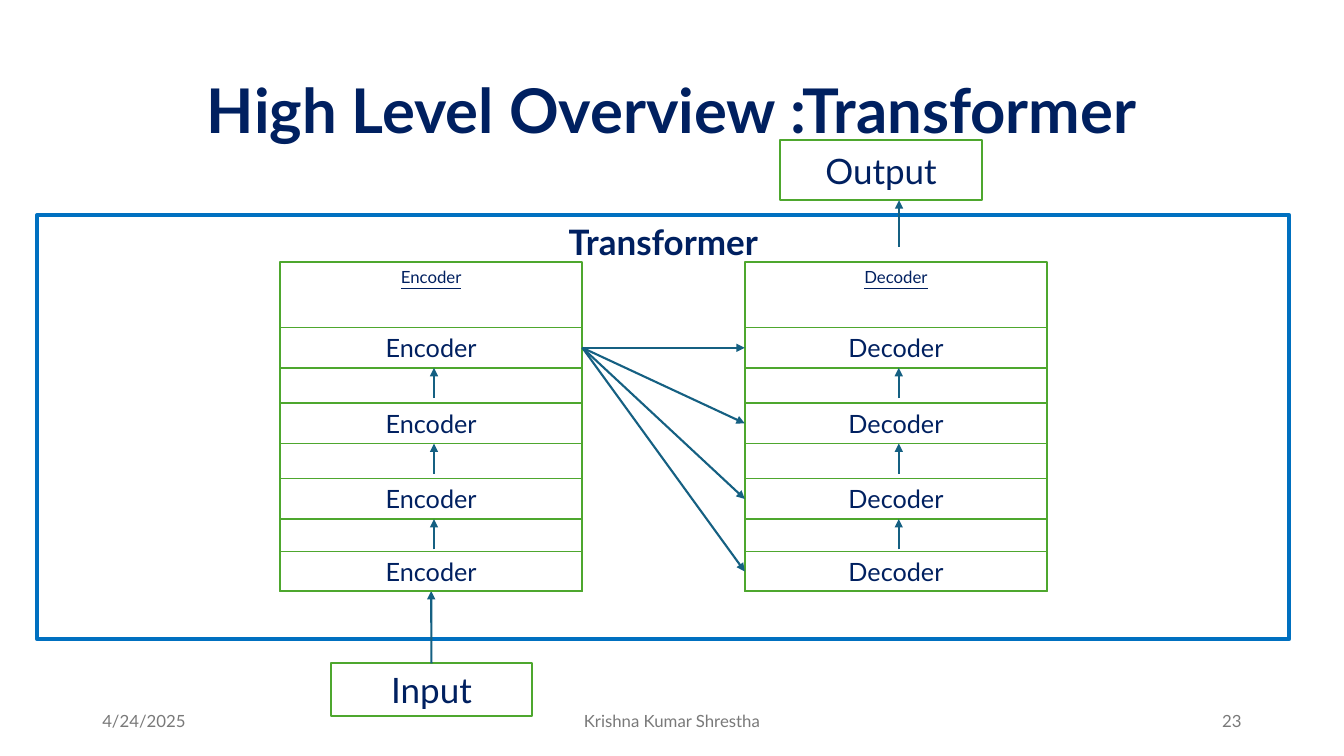
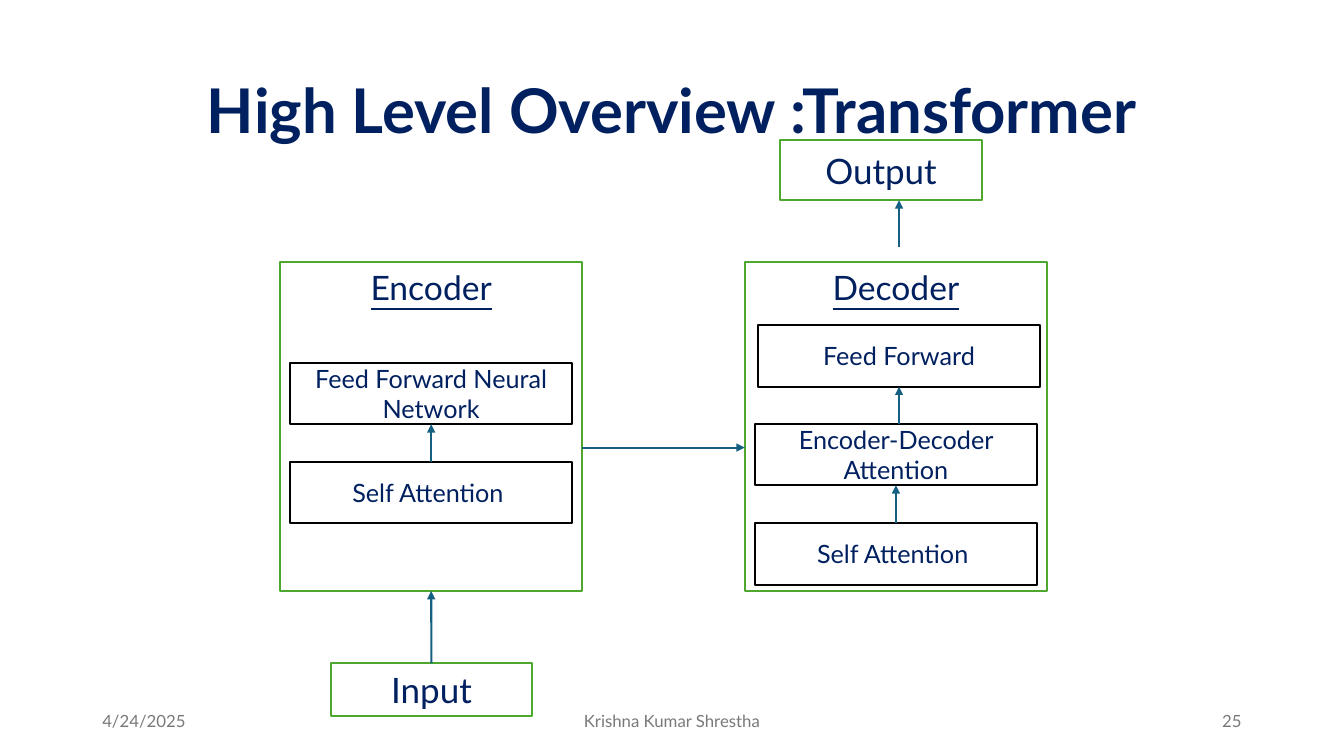
from dataclasses import dataclass
from typing import NamedTuple

from lxml.etree import SubElement
from pptx import Presentation
from pptx.dml.color import RGBColor
from pptx.enum.shapes import MSO_CONNECTOR as Connector, MSO_SHAPE as Preset
from pptx.enum.text import MSO_ANCHOR as Anchor, PP_ALIGN as Align
from pptx.oxml.ns import qn
from pptx.util import Pt

TOP, LEFT, BOTTOM, RIGHT = range(4)
TITLE = "High Level Overview :Transformer"
DATE = "4/24/2025"
AUTHOR = "Krishna Kumar Shrestha"

STACK_TOP, STACK_WIDTH, STACK_HEIGHT = 187.2, 216, 235
STACK_LEFTS = {"Encoder": 200, "Decoder": 532}
LAYER_TOPS = (234, 288, 342, 393.8)
LAYER_HEIGHT = 28.8
LAYER_ARROW_LENGTH = 21.6
ARROW_OFFSET = 2
BLOCK_WIDTH, BLOCK_HEIGHT = 201.6, 44
OUTPUT_ARROW_X = 642.2


@dataclass(frozen=True)
class Theme:
    font: str = "Lato"
    navy: str = "002060"
    gray: str = "797979"
    green: str = "4EA72E"
    blue: str = "0070C0"
    teal: str = "156082"
    black: str = "000000"
    white: str = "FFFFFF"
    title_size: float = 44
    label_size: float = 25
    heading_size: float = 24
    body_size: float = 18
    small_size: float = 12
    thin: float = 1
    line: float = 1.5
    thick: float = 3


class Joint(NamedTuple):
    shape: object
    side: int


class Deck:
    def __init__(self, theme):
        self.theme = theme
        self.presentation = Presentation()
        self.presentation.slide_width = Pt(960)
        self.presentation.slide_height = Pt(540)
        self.slide = None

    def new_slide(self, number):
        theme = self.theme
        self.slide = self.presentation.slides.add_slide(self.presentation.slide_layouts[6])
        title = self.text_box((66, 29, 828, 104), TITLE, theme.title_size, theme.navy, bold=True)
        title.text_frame.paragraphs[0].line_spacing = 0.9
        footers = (
            (66, 216, DATE, Align.LEFT),
            (318, 324, AUTHOR, Align.CENTER),
            (678, 216, str(number), Align.RIGHT),
        )
        for left, width, text, align in footers:
            self.text_box((left, 500.4, width, 28.8), text, theme.small_size, theme.gray, align)

    def add_text(self, shape, text, size, color, align=Align.CENTER, anchor=Anchor.MIDDLE,
                 bold=False, underline=False):
        frame = shape.text_frame
        frame.word_wrap = True
        frame.vertical_anchor = anchor
        paragraph = frame.paragraphs[0]
        paragraph.alignment = align
        run = paragraph.add_run()
        run.text = text
        run.font.name = self.theme.font
        run.font.size = Pt(size)
        run.font.bold = bold
        run.font.underline = underline
        run.font.color.rgb = RGBColor.from_string(color)

    def text_box(self, box, text, size, color, align=Align.CENTER, bold=False):
        shape = self.slide.shapes.add_textbox(*map(Pt, box))
        self.add_text(shape, text, size, color, align, bold=bold)
        return shape

    def rectangle(self, box, text, size, color, weight=None, filled=True, **text_style):
        shape = self.slide.shapes.add_shape(Preset.RECTANGLE, *map(Pt, box))
        shape.shadow.inherit = False
        if filled:
            shape.fill.solid()
            shape.fill.fore_color.rgb = RGBColor.from_string(self.theme.white)
        else:
            shape.fill.background()
        shape.line.color.rgb = RGBColor.from_string(color)
        shape.line.width = Pt(weight or self.theme.line)
        self.add_text(shape, text, size, self.theme.navy, **text_style)
        return shape

    def arrow(self, start, end):
        connector = self.slide.shapes.add_connector(Connector.STRAIGHT, 0, 0, 0, 0)
        if isinstance(start, Joint):
            connector.begin_connect(*start)
        else:
            connector.begin_x, connector.begin_y = map(Pt, start)
        if isinstance(end, Joint):
            connector.end_connect(*end)
        else:
            connector.end_x, connector.end_y = map(Pt, end)
        connector.line.color.rgb = RGBColor.from_string(self.theme.teal)
        connector.line.width = Pt(self.theme.line)
        properties = connector.element.spPr
        SubElement(properties.find(qn("a:ln")), qn("a:tailEnd"), type="triangle")
        SubElement(properties, qn("a:effectLst"))

    def stacks(self, heading_size):
        theme = self.theme
        source = self.rectangle((236.2, 473.8, 144, 37.4), "Input", theme.label_size, theme.green)
        self.rectangle((557.3, 100.1, 144, 42.8), "Output", theme.label_size, theme.green)
        self.arrow((OUTPUT_ARROW_X, 176.4), (OUTPUT_ARROW_X, 143))
        stacks = {
            name: self.rectangle((left, STACK_TOP, STACK_WIDTH, STACK_HEIGHT), name, heading_size,
                                 theme.green, anchor=Anchor.TOP, underline=True)
            for name, left in STACK_LEFTS.items()
        }
        self.arrow(Joint(source, TOP), Joint(stacks["Encoder"], BOTTOM))

    def layers(self, name):
        left = STACK_LEFTS[name]
        layers = [
            self.rectangle((left, top, STACK_WIDTH, LAYER_HEIGHT), name, self.theme.body_size,
                           self.theme.green, self.theme.thin, filled=False, anchor=Anchor.TOP)
            for top in LAYER_TOPS
        ]
        x = left + STACK_WIDTH / 2 + ARROW_OFFSET
        for top in LAYER_TOPS[:-1]:
            bottom = top + LAYER_HEIGHT
            self.arrow((x, bottom + LAYER_ARROW_LENGTH), (x, bottom))
        return layers

    def block(self, left, top, text):
        return self.rectangle((left, top, BLOCK_WIDTH, BLOCK_HEIGHT), text,
                              self.theme.body_size, self.theme.black)


def layered_slide(deck):
    theme = deck.theme
    deck.new_slide(23)
    deck.rectangle((26.6, 153.6, 894.2, 303), "Transformer", theme.label_size, theme.blue,
                   theme.thick, anchor=Anchor.TOP, bold=True)
    deck.stacks(theme.small_size)
    encoders = deck.layers("Encoder")
    decoders = deck.layers("Decoder")
    for decoder in decoders:
        deck.arrow(Joint(encoders[0], RIGHT), Joint(decoder, LEFT))


def attention_slide(deck):
    deck.new_slide(25)
    deck.stacks(deck.theme.heading_size)

    encoder_attention = deck.block(207.2, 329.8, "Self Attention ")
    encoder_network = deck.block(207.2, 259, "Feed Forward Neural Network")
    deck.arrow(Joint(encoder_attention, TOP), Joint(encoder_network, BOTTOM))

    decoder_attention = deck.block(539.2, 373.6, "Self Attention ")
    cross_attention = deck.block(539.2, 302.6, "Encoder-Decoder Attention")
    deck.arrow(Joint(decoder_attention, TOP), Joint(cross_attention, BOTTOM))
    decoder_network = deck.block(541.4, 232.2, "Feed Forward")
    deck.arrow((OUTPUT_ARROW_X, 302.6), Joint(decoder_network, BOTTOM))

    middle = 319.7
    deck.arrow((STACK_LEFTS["Encoder"] + STACK_WIDTH, middle), (STACK_LEFTS["Decoder"], middle))


def main():
    deck = Deck(Theme())
    layered_slide(deck)
    attention_slide(deck)
    deck.presentation.save("out.pptx")


if __name__ == "__main__":
    main()
